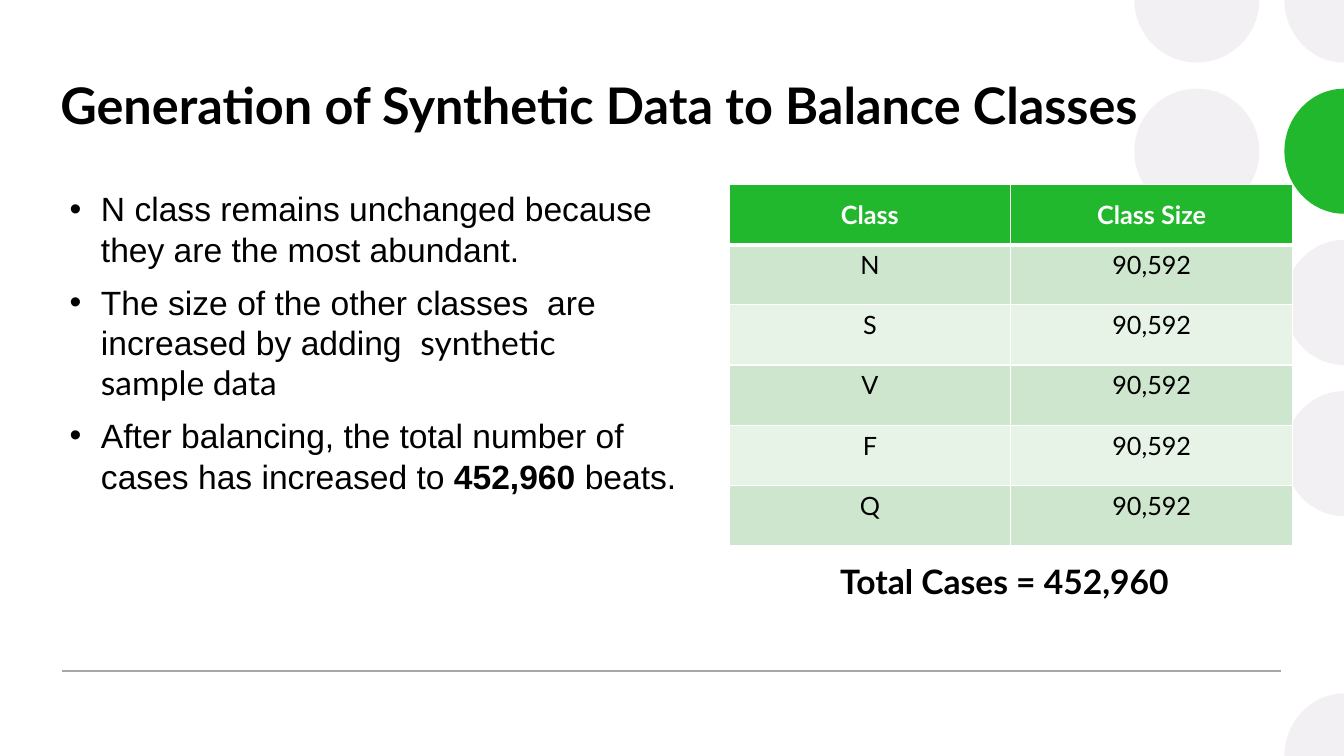
from pptx import Presentation
from pptx.dml.color import RGBColor
from pptx.enum.shapes import MSO_CONNECTOR as Conn, MSO_SHAPE as Shape
from pptx.enum.text import MSO_ANCHOR as Anchor, PP_ALIGN as Align
from pptx.oxml.ns import qn
from pptx.util import Inches, Pt
from lxml.etree import SubElement

W, H = Inches(13.333), Inches(7.5)
COLORS = {"green": "21B82E", "pale": "F3F0F3", "rule": "A6A6A6", "black": "000000",
          "white": "FFFFFF", "band1": "CDE6CD", "band2": "E8F3E8"}
CLASSES = ["N", "S", "V", "F", "Q"]
NBSP = chr(160)
BULLETS = [
    [("N class remains unchanged because they are the most abundant.", {})],
    [(f"The size of the other classes{NBSP} are increased by adding{NBSP}{NBSP}", {}),
     (f"synthetic sample{NBSP}data", {"name": "Lato"})],
    [("After balancing, the total number of cases has increased to ", {}),
     ("452,960 ", {"bold": True}), ("beats.", {})],
]
ARC = 0.55  # handle length of a quarter circle, as a share of its radius


def x(pct):
    """Percent of the slide width."""
    return round(W * pct / 100)


def y(pct):
    """Percent of the slide height."""
    return round(H * pct / 100)


def box(left, top, width, height):
    return x(left), y(top), x(width), y(height)


def rgb(name):
    return RGBColor.from_string(COLORS[name])


def paint(target, color):
    target.fill.solid()
    target.fill.fore_color.rgb = rgb(color)


def add_run(p, text, color="black", **font):
    r = p.add_run()
    r.text = text
    r.font.color.rgb = rgb(color)
    for key, value in font.items():
        setattr(r.font, key, value)


def add_text_frame(s, *place):
    tf = s.shapes.add_textbox(*box(*place)).text_frame
    tf.word_wrap = True
    return tf


def finish_circle(sp, color):
    paint(sp, color)
    sp.line.fill.background()
    sp.shadow.inherit = False


def bend(segment, start, end, center):
    """Turn a line segment into a quarter arc around center."""
    corner = [a + b - c for a, b, c in zip(start, end, center)]
    handles = [[round(a + ARC * (k - a)) for a, k in zip(pt, corner)] for pt in (start, end)]
    segment.tag = qn("a:cubicBezTo")
    for child in list(segment):
        segment.remove(child)
    for px, py in handles + [end]:
        SubElement(segment, qn("a:pt"), x=str(px), y=str(py))


def add_cut_circle(s, center, points, arcs, color):
    """Closed outline through points, whose last segments are quarter arcs."""
    builder = s.shapes.build_freeform(*points[0])
    builder.add_line_segments(points[1:] + points[:1], close=True)
    sp = builder.convert_to_shape()
    left, top = (min(values) for values in zip(*points))
    local = [(px - left, py - top) for px, py in points + points[:1]]
    middle = center[0] - left, center[1] - top
    segments = list(sp._element.iter(qn("a:lnTo")))
    for i in range(len(points) - arcs, len(points)):
        bend(segments[i], local[i], local[i + 1], middle)
    finish_circle(sp, color)


def add_circles(s):
    cx, r, rx = x(89.05), y(8.27), x(4.43)
    oval = s.shapes.add_shape(Shape.OVAL, cx - r, y(20) - r, 2 * r, 2 * r)
    finish_circle(oval, "pale")
    add_cut_circle(s, (cx, 0), [(cx - r, 0), (cx + r, 0), (cx, r)], 2, "pale")
    for step in (1, 2, 3):
        cy = y(20 * step)
        add_cut_circle(s, (W, cy), [(W, cy - r), (W, cy + r), (W - rx, cy)], 2,
                       "green" if step == 1 else "pale")
    add_cut_circle(s, (W, 0), [(W - rx, 0), (W, 0), (W, r)], 1, "pale")
    add_cut_circle(s, (W, H), [(W, H - r), (W, H), (W - rx, H)], 1, "pale")


def add_rule(s):
    line = s.shapes.add_connector(Conn.STRAIGHT, x(4.65), y(88.75), x(95.3), y(88.75))
    line.line.color.rgb = rgb("rule")
    line.line.width = Pt(1)
    SubElement(line._element.spPr, qn("a:effectLst"))


def add_bullets(s):
    tf = add_text_frame(s, 4.45, 24.27, 47.94, 55.6)
    for i, runs in enumerate(BULLETS):
        p = tf.paragraphs[0] if i == 0 else tf.add_paragraph()
        p.space_before = Pt(9)
        pPr = p._p.get_or_add_pPr()
        pPr.set("marL", str(Inches(0.31)))
        pPr.set("indent", str(-Inches(0.31)))
        SubElement(pPr, qn("a:buFont"), typeface="Arial")
        SubElement(pPr, qn("a:buChar"), char="•")
        for text, extra in runs:
            add_run(p, text, **{"name": "Arial", "size": Pt(24), **extra})


def add_border(cell, side, width):
    ln = SubElement(cell._tc.get_or_add_tcPr(), qn("a:ln" + side), w=str(Pt(width)))
    fill = SubElement(ln, qn("a:solidFill"))
    SubElement(fill, qn("a:srgbClr"), val=COLORS["white"])


def add_class_table(s):
    rows = [("Class", "Class Size")] + [(name, "90,592") for name in CLASSES]
    frame = s.shapes.add_table(len(rows), 2, *box(54.24, 24.4, 41.94, 47.8))
    for i, row in enumerate(rows):
        header = i == 0
        for j, text in enumerate(row):
            cell = frame.table.cell(i, j)
            for side in "LRTB":
                thick = (i, side) in [(0, "B"), (1, "T")]
                add_border(cell, side, 3 if thick else 1)
            paint(cell, "green" if header else "band1" if i % 2 else "band2")
            cell.vertical_anchor = Anchor.MIDDLE if header else Anchor.TOP
            p = cell.text_frame.paragraphs[0]
            p.alignment = Align.CENTER
            add_run(p, text, "white" if header else "black",
                    name="Lato", size=Pt(18), bold=header)


def add_heading(s, text, size, *place):
    p = add_text_frame(s, *place).paragraphs[0]
    add_run(p, text, name="Lato", size=Pt(size), bold=True)


def main():
    prs = Presentation()
    prs.slide_width, prs.slide_height = W, H
    s = prs.slides.add_slide(prs.slide_layouts[6])
    add_circles(s)
    add_rule(s)
    add_heading(s, "Generation of Synthetic Data to Balance Classes", 36, 3.75, 9.2, 92.5, 11.6)
    add_bullets(s)
    add_class_table(s)
    add_heading(s, "Total Cases = 452,960", 24, 61.78, 73.47, 29.26, 6.67)
    prs.save("out.pptx")


if __name__ == "__main__":
    main()
